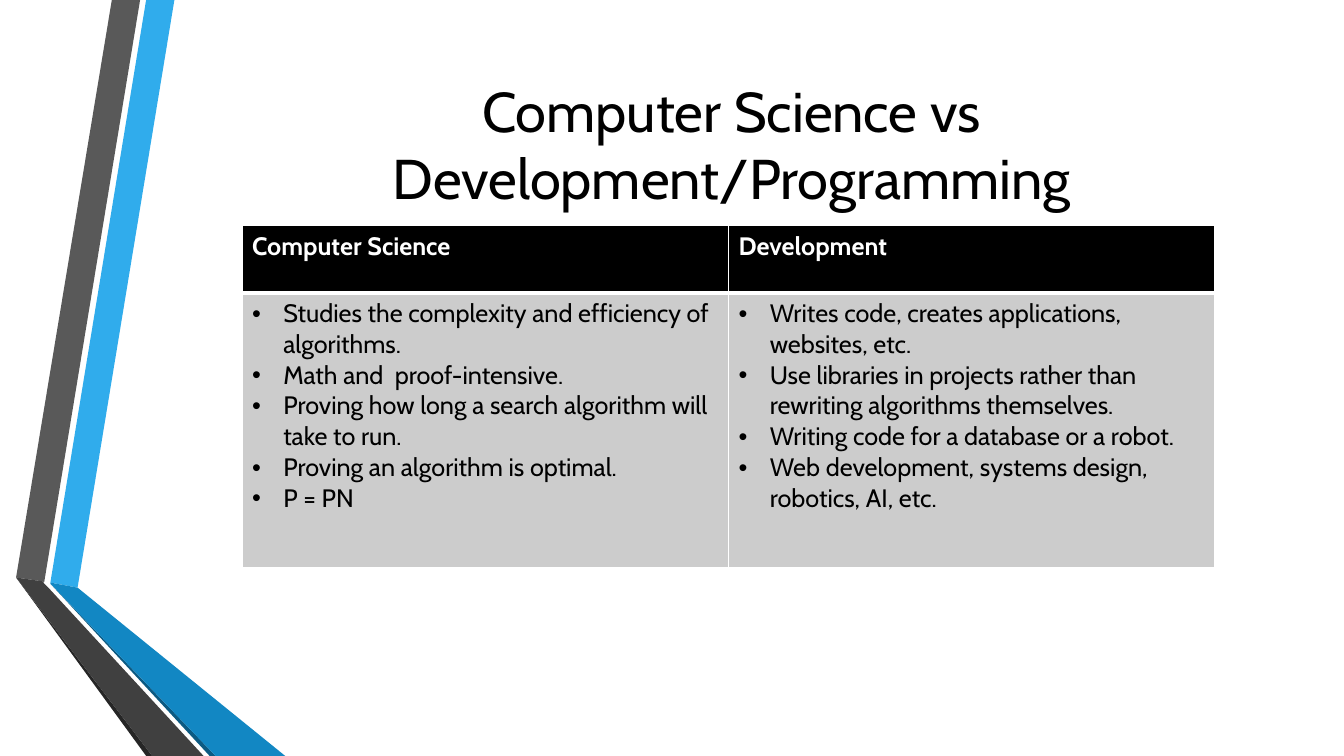
from lxml.etree import SubElement
from pptx import Presentation
from pptx.dml.color import RGBColor as RGB
from pptx.enum.text import MSO_ANCHOR as Anchor, MSO_AUTO_SIZE as Fit, PP_ALIGN as Align
from pptx.oxml.ns import qn
from pptx.util import Inches, Pt

BLACK = RGB(0x00, 0x00, 0x00)
WHITE = RGB(0xFF, 0xFF, 0xFF)
GRAY = RGB(0xCC, 0xCC, 0xCC)
SKY = RGB(0x30, 0xAC, 0xEC)
BLUE = RGB(0x12, 0x87, 0xC3)
NAVY = RGB(0x0C, 0x5A, 0x82)
STEEL = RGB(0x59, 0x59, 0x59)
COAL = RGB(0x40, 0x40, 0x40)
INK = RGB(0x26, 0x26, 0x26)

# Folded ribbons, back to front
BANDS = [
    (SKY, [(0.5, 5.78), (0.77, 5.83), (1.73, 0), (1.45, 0)]),
    (STEEL, [(1.39, 0), (1.11, 0), (0.16, 5.73), (0.44, 5.77)]),
    (INK, [(0.16, 5.73), (1.45, 7.5), (1.51, 7.5)]),
    (NAVY, [(0.5, 5.79), (2.08, 7.5), (2.14, 7.5)]),
    (BLUE, [(0.5, 5.79), (2.14, 7.5), (2.83, 7.5), (0.77, 5.83), (0.5, 5.78)]),
    (COAL, [(2.02, 7.5), (0.48, 5.83), (0.43, 5.78), (0.44, 5.77),
            (0.16, 5.73), (1.51, 7.5)]),
]

TOPICS = {
    "Computer Science": [
        "Studies the complexity and efficiency of algorithms.",
        "Math and  proof-intensive.",
        "Proving how long a search algorithm will take to run.",
        "Proving an algorithm is optimal.",
        "P = PN",
    ],
    "Development": [
        "Writes code, creates applications, websites, etc.",
        "Use libraries in projects rather than rewriting algorithms themselves.",
        "Writing code for a database or a robot.",
        "Web development, systems design, robotics, AI, etc.",
    ],
}


class Deck:
    face = "Cabin"

    def __init__(self):
        self.prs = Presentation()
        self.prs.slide_width = Inches(13.33)
        self.prs.slide_height = Inches(7.5)
        self.slide = self.prs.slides.add_slide(self.prs.slide_layouts[5])

    def style(self, para, size, color, bold=False):
        font = para.font
        font.name, font.size, font.bold = self.face, Pt(size), bold
        font.color.rgb = color

    def band(self, color, points):
        pts = [(Inches(x), Inches(y)) for x, y in points]
        pen = self.slide.shapes.build_freeform(*pts[0], scale=1.0)
        pen.add_line_segments(pts[1:], close=True)
        shape = pen.convert_to_shape()
        shape.shadow.inherit = False
        shape.fill.solid()
        shape.fill.fore_color.rgb = color
        shape.line.fill.background()

    def title(self, text):
        box = self.slide.shapes.title
        box.left, box.top = Inches(1.73), Inches(0)
        box.width, box.height = Inches(11.05), Inches(2.85)
        frame = box.text_frame
        frame.text = text
        frame.auto_size = Fit.NONE
        frame.word_wrap = True
        frame.vertical_anchor = Anchor.MIDDLE
        para = frame.paragraphs[0]
        para.alignment = Align.CENTER
        self.style(para, 40, BLACK)
        # Bring the title in front of the ribbons
        box.element.getparent().append(box.element)

    def bullet(self, para):
        props = para._p.get_or_add_pPr()
        props.set("marL", str(Inches(0.31)))
        props.set("indent", str(-Inches(0.31)))
        SubElement(props, qn("a:buFont"), typeface="Arial")
        SubElement(props, qn("a:buChar"), char="•")

    def border(self, cell, base):
        props = cell._tc.get_or_add_tcPr()
        for side, width in (("L", 1), ("R", 1), ("T", 1), ("B", base)):
            line = SubElement(props, qn("a:ln" + side), w=str(Pt(width)))
            fill = SubElement(line, qn("a:solidFill"))
            SubElement(fill, qn("a:srgbClr"), val=str(WHITE))

    def cell(self, cell, lines, head):
        self.border(cell, 3 if head else 1)
        cell.fill.solid()
        cell.fill.fore_color.rgb = BLACK if head else GRAY
        cell.text_frame.text = "\n".join(lines)
        for para in cell.text_frame.paragraphs:
            self.style(para, 18, WHITE if head else BLACK, head)
            if not head:
                self.bullet(para)

    def table(self, topics):
        grid = self.slide.shapes.add_table(
            2, len(topics), Inches(2.4), Inches(2.24), Inches(9.65), Inches(3.39)).table
        grid.rows[0].height, grid.rows[1].height = Inches(0.67), Inches(2.72)
        for col, (name, points) in enumerate(topics.items()):
            self.cell(grid.cell(0, col), [name], True)
            self.cell(grid.cell(1, col), points, False)


def main():
    deck = Deck()
    for color, points in BANDS:
        deck.band(color, points)
    deck.title("Computer Science vs Development/Programming")
    deck.table(TOPICS)
    deck.prs.save("out.pptx")


if __name__ == "__main__":
    main()
